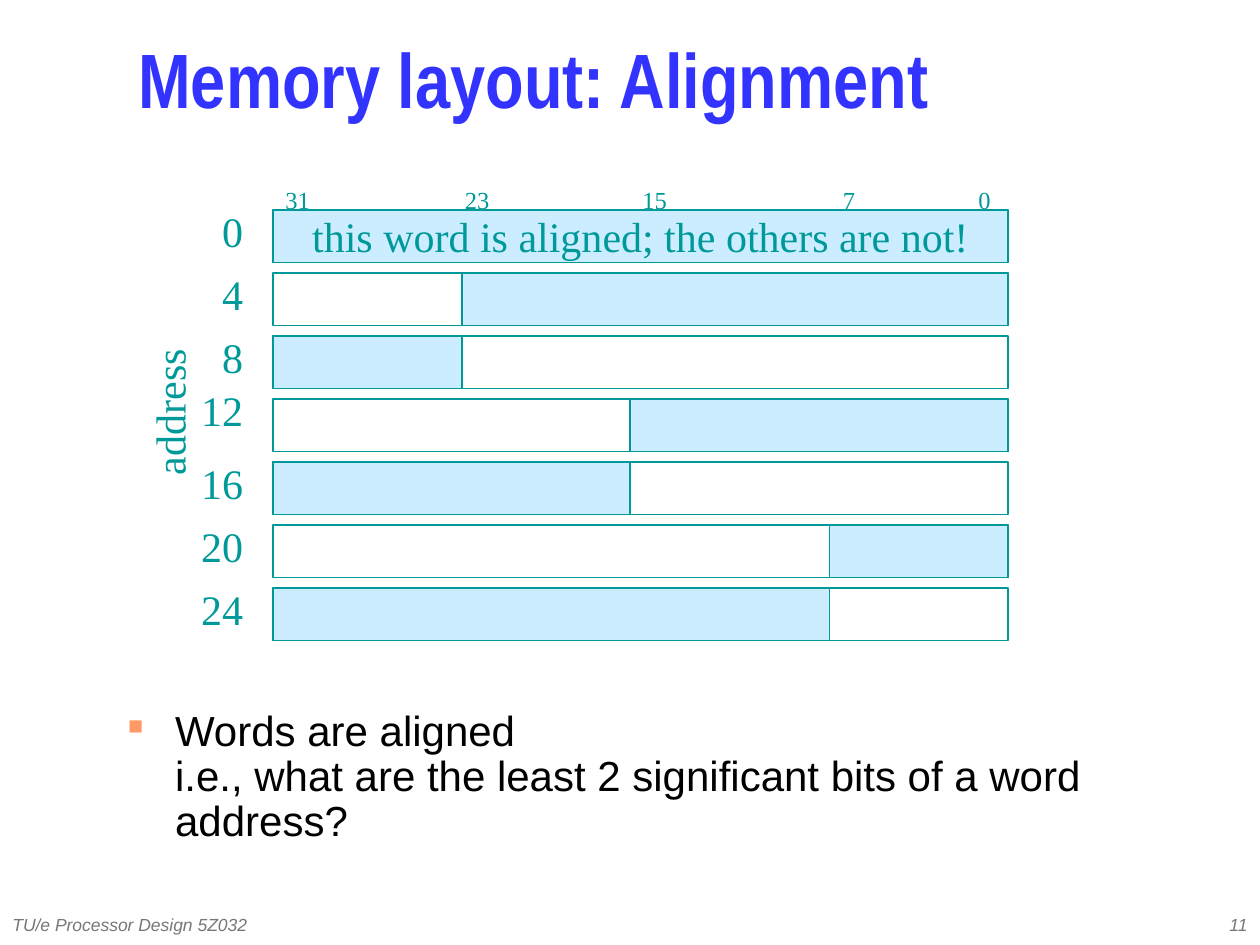
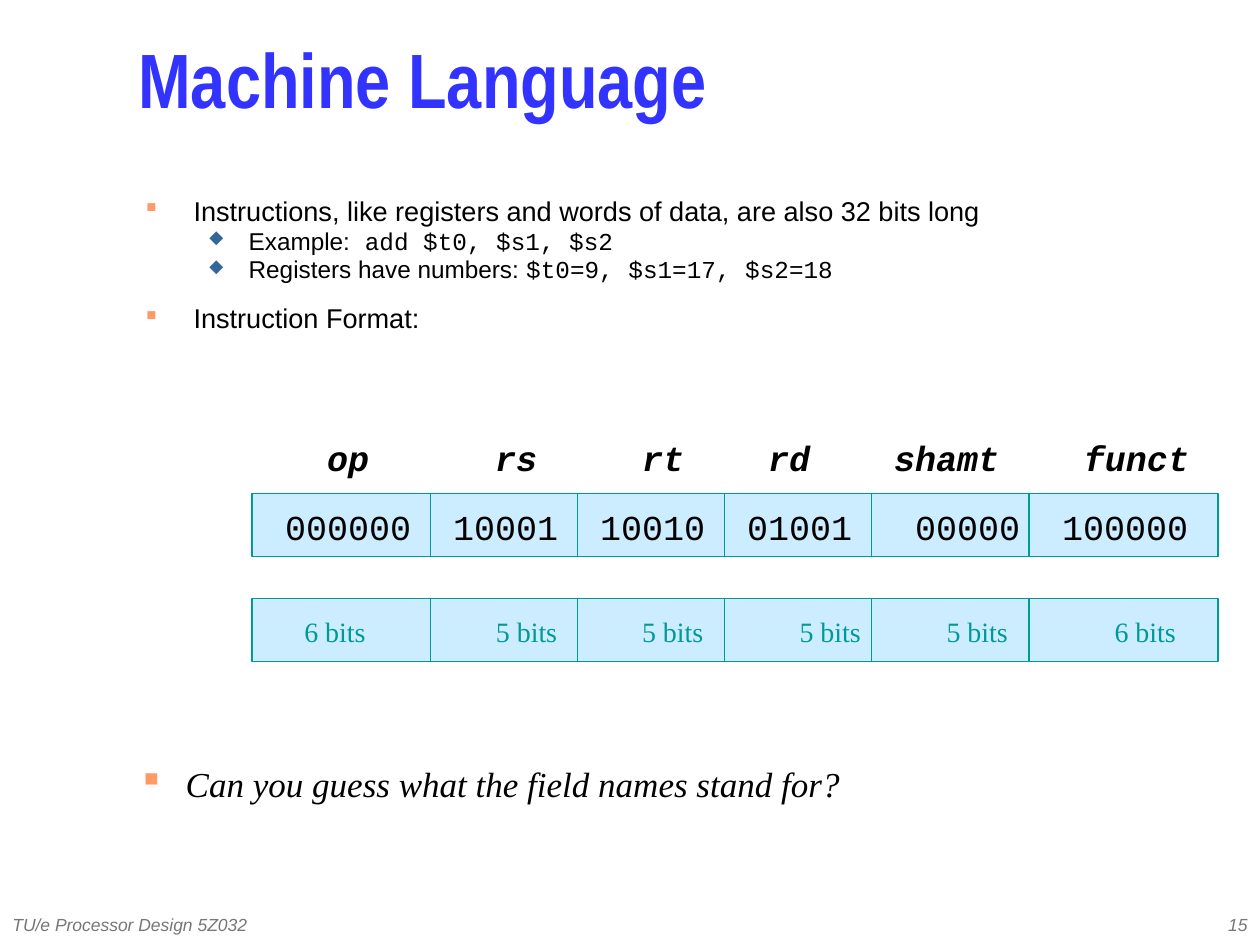
from lxml import etree
from pptx import Presentation
from pptx.dml.color import RGBColor
from pptx.enum import shapes, text
from pptx.oxml import ns
from pptx.util import Pt

BLUE = RGBColor(0x33, 0x33, 0xFF)
TEAL = RGBColor(0x00, 0x99, 0x99)
SKY = RGBColor(0xCC, 0xEC, 0xFF)
WHITE = RGBColor(0xFF, 0xFF, 0xFF)
INK = RGBColor(0x01, 0x00, 0x00)
GREY = RGBColor(0x77, 0x77, 0x77)
ORANGE = RGBColor(0xFF, 0x99, 0x66)
NAVY = RGBColor(0x33, 0x66, 0x99)

LEFT, MID, RIGHT = text.PP_ALIGN.LEFT, text.PP_ALIGN.CENTER, text.PP_ALIGN.RIGHT


def style(name, size, color, **more):
    return {"name": name, "size": Pt(size), "color": color, **more}


HEAD = style("Arial Narrow", 44, BLUE, bold=True)
FOOT = style("Arial", 10, GREY, italic=True)
BODY = style("Arial", 24, INK)
POINT = style("Arial", 15.5, INK)
SUB = style("Arial", 13.9, INK)
CODE = style("Courier New", 13.9, INK)
ASK = style("Times New Roman", 20, INK, italic=True)
LABEL = style("Times New Roman", 24, TEAL)
BIT = style("Times New Roman", 14, TEAL)
WIDTH = style("Times New Roman", 16, TEAL)
VALUE = style("Courier New", 20, INK)
FIELD = style("Courier New", 20, INK, bold=True, italic=True)

# Bullet: character, colour, size in percent, margin, hanging indent
SQUARE = ("■", ORANGE, 50, 27, 27)
DIAMOND = ("◆", NAVY, 75, 58.5, 22.5)
SMALL = ("▪", ORANGE, 100, 27, 27)

COURSE = "TU/e Processor Design 5Z032"

# Memory rows: address, left and right edge of the shaded word, label shift
WORD_L, WORD_R = 156, 576
ROWS = [
    ("0", WORD_L, WORD_R, 0),
    ("4", 264, WORD_R, 0),
    ("8", WORD_L, 264, 0),
    ("12", 360, WORD_R, -6),
    ("16", WORD_L, 360, 0),
    ("20", 474, WORD_R, 0),
    ("24", WORD_L, 474, 0),
]
BITS = [("31", 156), ("23", 258.5), ("15", 360), ("7", 474.5), ("0", 552)]
ALIGNED = "this word is aligned; the others are not!"
QUERY = "Words are aligned\ni.e., what are the least 2 significant bits of a word address?"

# Instruction fields: name, value and width, each with the left edge of its text
FIELDS = [
    (("op", 187), ("000000", 163), ("6 bits", 174)),
    (("rs", 283), ("10001", 259), ("5 bits", 283.5)),
    (("rt", 367), ("10010", 343), ("5 bits", 367)),
    (("rd", 439), ("01001", 427), ("5 bits", 457)),
    (("shamt", 511), ("00000", 523), ("5 bits", 541)),
    (("funct", 619.5), ("100000", 607), ("6 bits", 637)),
]
FIELD_TOPS = [(246, FIELD, 1), (288, VALUE, 0.9), (347.5, WIDTH, 1)]
BAND_L, BAND_W, BAND_H = 144, 552, 36
BAND_TOPS = [282, 342]
CUTS = [246, 330, 414, 498, 588]

# Points: runs, bullet, space before
POINTS = [
    ([("Instructions, like registers and words of data, are also 32 bits long", POINT)],
     SQUARE, 0),
    ([("Example:", SUB), (" add $t0, $s1, $s2", CODE)], DIAMOND, 4.5),
    ([("Registers have numbers: ", SUB), ("$t0=9, $s1=17, $s2=18", CODE)], DIAMOND, 4.5),
    ([("Instruction Format:", POINT)], SQUARE, 16),
]
GUESS = "Can you guess what the field names stand for?"


def format_run(run, look):
    for key, val in look.items():
        if key == "color":
            run.font.color.rgb = val
        else:
            setattr(run.font, key, val)


def add_bullet(para, bullet):
    char, color, size, margin, hang = bullet
    props = para._p.get_or_add_pPr()
    props.set("marL", str(Pt(margin)))
    props.set("indent", str(-Pt(hang)))
    tint = etree.SubElement(props, ns.qn("a:buClr"))
    etree.SubElement(tint, ns.qn("a:srgbClr")).set("val", str(color))
    etree.SubElement(props, ns.qn("a:buSzPct")).set("val", str(size * 1000))
    etree.SubElement(props, ns.qn("a:buChar")).set("char", char)


def fill_para(para, runs, align=LEFT, space=1, before=0, bullet=None):
    if bullet:
        add_bullet(para, bullet)
    para.alignment, para.line_spacing, para.space_before = align, space, Pt(before)
    for words, look in runs:
        for num, line in enumerate(words.split("\n")):
            if num:
                para.add_line_break()
            run = para.add_run()
            run.text = line
            format_run(run, look)


def add_text(slide, words, look, x, y, w, h, middle=False, **para):
    box = slide.shapes.add_textbox(Pt(x), Pt(y), Pt(w), Pt(h))
    frame = box.text_frame
    frame.word_wrap = True
    if middle:
        frame.vertical_anchor = text.MSO_ANCHOR.MIDDLE
    fill_para(frame.paragraphs[0], [(words, look)], **para)
    return box


def add_bar(slide, x, y, w, h, fill):
    bar = slide.shapes.add_shape(shapes.MSO_SHAPE.RECTANGLE, Pt(x), Pt(y), Pt(w), Pt(h))
    bar.shadow.inherit = False
    bar.fill.solid()
    bar.fill.fore_color.rgb = fill
    bar.line.color.rgb = TEAL
    bar.line.width = Pt(0.75)
    return bar


def add_cut(slide, x, y, h):
    """Draw the upright line between two fields."""
    cut = slide.shapes.add_connector(
        shapes.MSO_CONNECTOR.STRAIGHT, Pt(x), Pt(y), Pt(x), Pt(y + h))
    cut.line.color.rgb = TEAL
    cut.line.width = Pt(0.75)
    etree.SubElement(cut._element.spPr, ns.qn("a:effectLst"))


def add_page(deck, title, num):
    slide = deck.slides.add_slide(deck.slide_layouts[6])
    add_text(slide, title, HEAD, 72, 12, 618, 78, middle=True, space=0.7)
    add_text(slide, COURSE, FOOT, 0, 516, 228, 24, middle=True)
    add_text(slide, str(num), FOOT, 570, 516, 150, 24, middle=True, align=RIGHT)
    return slide


def draw_memory(deck):
    slide = add_page(deck, "Memory layout: Alignment", 11)
    for row, (address, start, end, shift) in enumerate(ROWS):
        top = 120 + 36 * row
        add_bar(slide, WORD_L, top, WORD_R - WORD_L, 30, WHITE)
        word = add_bar(slide, start, top, end - start, 30, SKY)
        if row == 0:
            word.text_frame.vertical_anchor = text.MSO_ANCHOR.MIDDLE
            fill_para(word.text_frame.paragraphs[0], [(ALIGNED, LABEL)], MID)
        add_text(slide, address, LABEL, 86, top - 6 + shift, 60, 36, align=RIGHT)
    for bit, x in BITS:
        add_text(slide, bit, BIT, x, 102, 40, 24)
    side = add_text(slide, "address", LABEL, 46.5, 217.5, 100, 36, align=MID)
    side.rotation = 270
    add_text(slide, QUERY, BODY, 66, 402, 618, 90, space=0.9, bullet=SQUARE)


def draw_machine(deck):
    slide = add_page(deck, "Machine Language", 15)
    box = slide.shapes.add_textbox(Pt(76.5), Pt(112.5), Pt(638), Pt(116))
    frame = box.text_frame
    frame.word_wrap = True
    for num, (runs, bullet, before) in enumerate(POINTS):
        para = frame.add_paragraph() if num else frame.paragraphs[0]
        para.level = int(bullet is DIAMOND)
        fill_para(para, runs, space=0.7, before=before, bullet=bullet)
    for top in BAND_TOPS:
        add_bar(slide, BAND_L, top, BAND_W, BAND_H, SKY)
        for x in CUTS:
            add_cut(slide, x, top, BAND_H)
    for field in FIELDS:
        for (words, x), (top, look, space) in zip(field, FIELD_TOPS):
            add_text(slide, words, look, x - 7.2, top, 96, 29, space=space)
    add_text(slide, GUESS, ASK, 72, 432, 486, 36, bullet=SMALL)


def main():
    deck = Presentation()
    deck.slide_width, deck.slide_height = Pt(720), Pt(540)
    draw_memory(deck)
    draw_machine(deck)
    deck.save("out.pptx")


if __name__ == "__main__":
    main()
